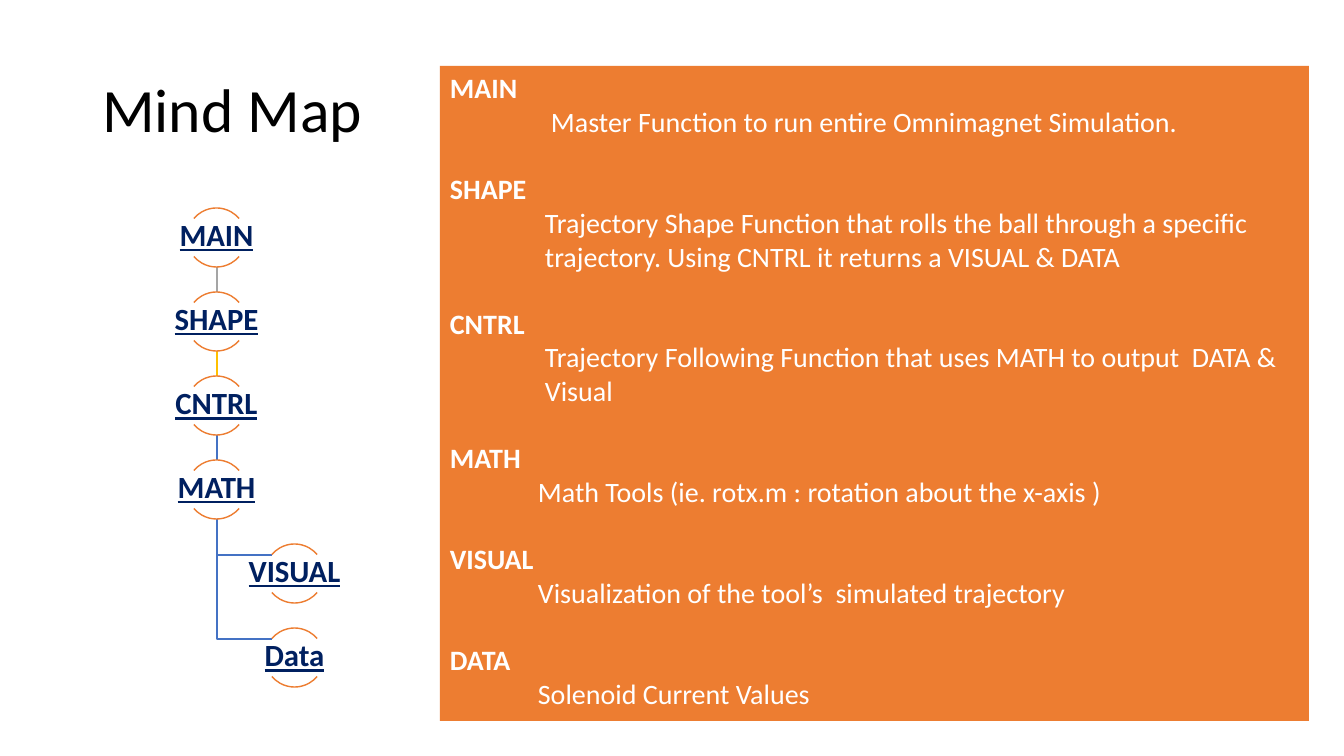
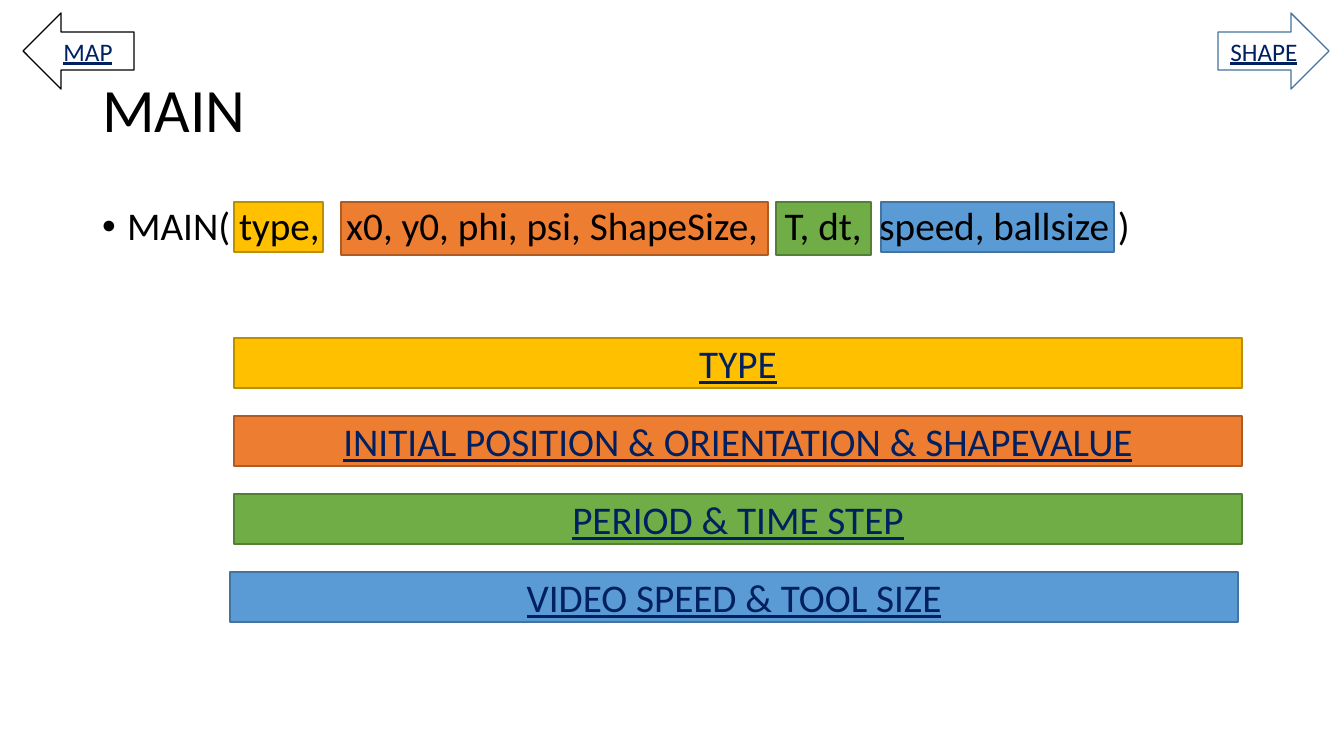
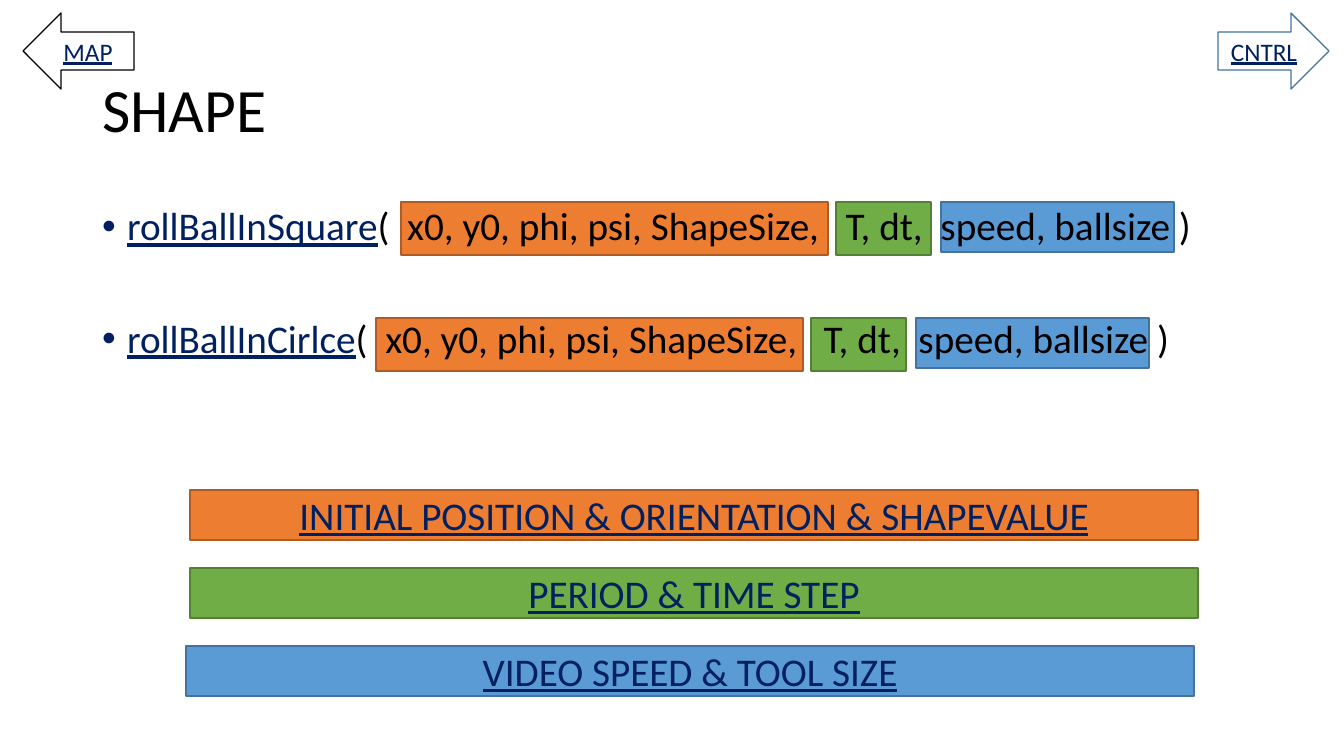
from lxml.etree import SubElement
from pptx import Presentation
from pptx.dml.color import RGBColor
from pptx.enum.shapes import MSO_CONNECTOR, MSO_SHAPE
from pptx.enum.text import MSO_ANCHOR, MSO_AUTO_SIZE, PP_ALIGN
from pptx.oxml.ns import qn
from pptx.util import Pt

PIXEL = 914400 / 100.8
FONT = "Calibri"
COLORS = {
    "black": "000000", "white": "FFFFFF", "navy": "002060", "gray": "A5A5A5",
    "indigo": "4472C4",
    "yellow": "FFC000", "yellow_edge": "BD8E00",
    "orange": "ED7D31", "orange_edge": "AF5C24",
    "green": "70AD47", "green_edge": "538035",
    "blue": "5B9BD5", "blue_edge": "43739E",
}
TITLE_ONLY, TITLE_AND_BODY = 5, 1

# Each parameter group has one colour and one bar label
TOPICS = {
    "yellow": "TYPE",
    "orange": "INITIAL POSITION & ORIENTATION & SHAPEVALUE",
    "green": "PERIOD & TIME STEP",
    "blue": "VIDEO SPEED & TOOL SIZE",
}
# Colour, offset, width and height of the shared argument highlights
ARGUMENTS = [("orange", 0, 427, 53), ("green", 435, 95, 53), ("blue", 540, 233, 50)]
SHARED_CALL = "x0, y0, phi, psi, ShapeSize,   T, dt,  speed, ballsize )"

FUNCTIONS = [  # heading, description, indent
    ("MAIN", "Master Function to run entire Omnimagnet Simulation.", 101),
    ("SHAPE", "Trajectory Shape Function that rolls the ball through a specific "
              "trajectory. Using CNTRL it returns a VISUAL & DATA", 95),
    ("CNTRL", "Trajectory Following Function that uses MATH to output  DATA & Visual", 95),
    ("MATH", "Math Tools (ie. rotx.m : rotation about the x-axis )", 88),
    ("VISUAL", "Visualization of the tool’s  simulated trajectory", 88),
    ("DATA", "Solenoid Current Values", 88),
]
NODES = [("MAIN", 0), ("SHAPE", 0), ("CNTRL", 0), ("MATH", 0), ("VISUAL", 1), ("Data", 1)]
NODE_LEFT, NODE_TOP, NODE_SIZE, NODE_PITCH, NODE_SHIFT = 187, 208, 59, 84, 78


def px(length):
    return round(length * PIXEL)


def place(item, left, top, width, height):
    item.left, item.top, item.width, item.height = map(px, (left, top, width, height))


def color(name):
    return RGBColor.from_string(COLORS[name])


def style(span, size, name, bold=False, underline=False):
    font = span.font
    font.name, font.size, font.bold, font.underline = FONT, Pt(size), bold, underline
    font.color.rgb = color(name)


def set_line(item, name):
    item.line.color.rgb = color(name)
    item.line.width = Pt(1)


def add_shape(page, kind, area, fill=None, line=None):
    shape = page.shapes.add_shape(kind, *map(px, area))
    shape.shadow.inherit = False
    if fill:
        shape.fill.solid()
        shape.fill.fore_color.rgb = color(fill)
    else:
        shape.fill.background()
    if line:
        set_line(shape, line)
    else:
        shape.line.fill.background()
    return shape


def set_label(box, text, size, bold=False):
    """Centred, underlined navy text."""
    frame = box.text_frame
    frame.word_wrap = True
    frame.vertical_anchor = MSO_ANCHOR.MIDDLE
    para = frame.paragraphs[0]
    para.text = text
    para.alignment = PP_ALIGN.CENTER
    style(para.runs[0], size, "navy", bold, underline=True)
    return para


def indent(para, left, first=0):
    properties = para._p.get_or_add_pPr()
    properties.set("marL", str(px(left)))
    properties.set("indent", str(px(first)))


def add_page(deck, layout, title):
    page = deck.slides.add_slide(deck.slide_layouts[layout])
    box = page.shapes.title
    place(box, 92, 40, 1159, 146)
    frame = box.text_frame
    frame.text = title
    frame.vertical_anchor = MSO_ANCHOR.MIDDLE
    para = frame.paragraphs[0]
    para.alignment = PP_ALIGN.LEFT
    para.line_spacing = 0.9
    style(para.runs[0], 44, "black")
    return page


# Mind map parts
def node_top(row):
    return NODE_TOP + row * NODE_PITCH


def add_branch(page, row):
    """Elbow line from the last trunk node to an indented node."""
    trunk = NODE_LEFT + 30
    level = node_top(row) + 11
    builder = page.shapes.build_freeform(trunk, node_top(3) + NODE_SIZE, scale=PIXEL)
    builder.add_line_segments([(trunk, level), (trunk + 55, level)], close=False)
    branch = builder.convert_to_shape()
    branch.shadow.inherit = False
    branch.fill.background()
    set_line(branch, "indigo")


def add_trunk(page, row, name):
    x = NODE_LEFT + 30
    trunk = page.shapes.add_connector(
        MSO_CONNECTOR.STRAIGHT,
        *map(px, (x, node_top(row) + NODE_SIZE, x, node_top(row + 1))))
    set_line(trunk, name)
    SubElement(trunk._element.spPr, qn("a:effectLst"))


def add_node(page, row, text, level):
    left, top = NODE_LEFT + level * NODE_SHIFT, node_top(row)
    for start, end in ((220, 320), (40, 140)):
        arc = add_shape(page, MSO_SHAPE.ARC, (left, top, NODE_SIZE, NODE_SIZE), line="orange")
        # Arc angles are stored in 60000ths of a degree, adjustments in 100000ths
        arc.adjustments[0], arc.adjustments[1] = start * 0.6, end * 0.6
    box = page.shapes.add_textbox(*map(px, (left - 30, top + 10, 119, 38)))
    frame = box.text_frame
    frame.margin_left = frame.margin_right = frame.margin_top = frame.margin_bottom = px(2)
    set_label(box, text, 22, bold=True).line_spacing = 0.9


def add_function_panel(page):
    panel = add_shape(page, MSO_SHAPE.RECTANGLE, (440, 66, 869, 655), "orange")
    frame = panel.text_frame
    frame.word_wrap = True
    frame.vertical_anchor = MSO_ANCHOR.TOP
    frame.text = "\n".join(line for entry in FUNCTIONS for line in entry[:2])
    for number, para in enumerate(frame.paragraphs):
        entry, is_description = divmod(number, 2)
        para.alignment = PP_ALIGN.LEFT
        if is_description:
            indent(para, FUNCTIONS[entry][2])
        elif entry:
            para.space_before = Pt(24)
        style(para.runs[0], 20, "white", bold=not is_description)


# Function page parts
def add_highlight(page, name, area):
    return add_shape(page, MSO_SHAPE.RECTANGLE, area, name, name + "_edge")


def add_argument_highlights(page, left, top):
    for name, offset, width, height in ARGUMENTS:
        add_highlight(page, name, (left + offset, top, width, height))


def add_calls(page, calls, height):
    """Bulleted calls, laid over the highlights; each is (linked name, rest)."""
    body = page.placeholders[1]
    place(body, 92, 202, 1159, height)
    body.element.getparent().append(body.element)
    frame = body.text_frame
    frame.auto_size = MSO_AUTO_SIZE.NONE
    for number, (name, rest) in enumerate(calls):
        para = frame.add_paragraph() if number else frame.paragraphs[0]
        indent(para, 25, -25)
        para.line_spacing = 0.9
        para.space_before = Pt(50 if number else 10)
        if name:
            span = para.add_run()
            span.text = name
            style(span, 28, "navy", underline=True)
        span = para.add_run()
        span.text = rest
        style(span, 28, "black")


def add_topic_bars(page, names, left, top):
    for row, name in enumerate(names):
        shift = -4 if name == "blue" else 0
        bar = add_highlight(page, name, (left + shift, top + row * 78, 1008, 50))
        set_label(bar, TOPICS[name], 28)


def add_navigation(page, following):
    for kind, left, line, text in ((MSO_SHAPE.LEFT_ARROW, 23, "black", "MAP"),
                                   (MSO_SHAPE.RIGHT_ARROW, 1218, "blue_edge", following)):
        arrow = add_shape(page, kind, (left, 13, 111, 76), "white", line)
        set_label(arrow, text, 18)


# Pages
def add_map_page(deck):
    page = add_page(deck, TITLE_ONLY, "Mind Map")
    for row in (5, 4):
        add_branch(page, row)
    for row, name in enumerate(("gray", "yellow", "indigo")):
        add_trunk(page, row, name)
    for row, (text, level) in enumerate(NODES):
        add_node(page, row, text, level)
    add_function_panel(page)


def add_main_page(deck):
    page = add_page(deck, TITLE_AND_BODY, "MAIN")
    add_highlight(page, "yellow", (234, 202, 89, 50))
    add_argument_highlights(page, 341, 202)
    add_calls(page, [("", "MAIN( type,   " + SHARED_CALL)], 89)
    add_topic_bars(page, TOPICS, 234, 338)
    add_navigation(page, "SHAPE")


def add_shape_page(deck):
    page = add_page(deck, TITLE_AND_BODY, "SHAPE")
    add_argument_highlights(page, 401, 202)
    add_argument_highlights(page, 376, 318)
    names = ("rollBallInSquare", "rollBallInCirlce")
    add_calls(page, [(name, "(  " + SHARED_CALL) for name in names], 480)
    add_topic_bars(page, ("orange", "green", "blue"), 190, 490)
    add_navigation(page, "CNTRL")


def main():
    deck = Presentation()
    deck.slide_width, deck.slide_height = px(1344), px(756)
    add_map_page(deck)
    add_main_page(deck)
    add_shape_page(deck)
    deck.save("out.pptx")


main()
